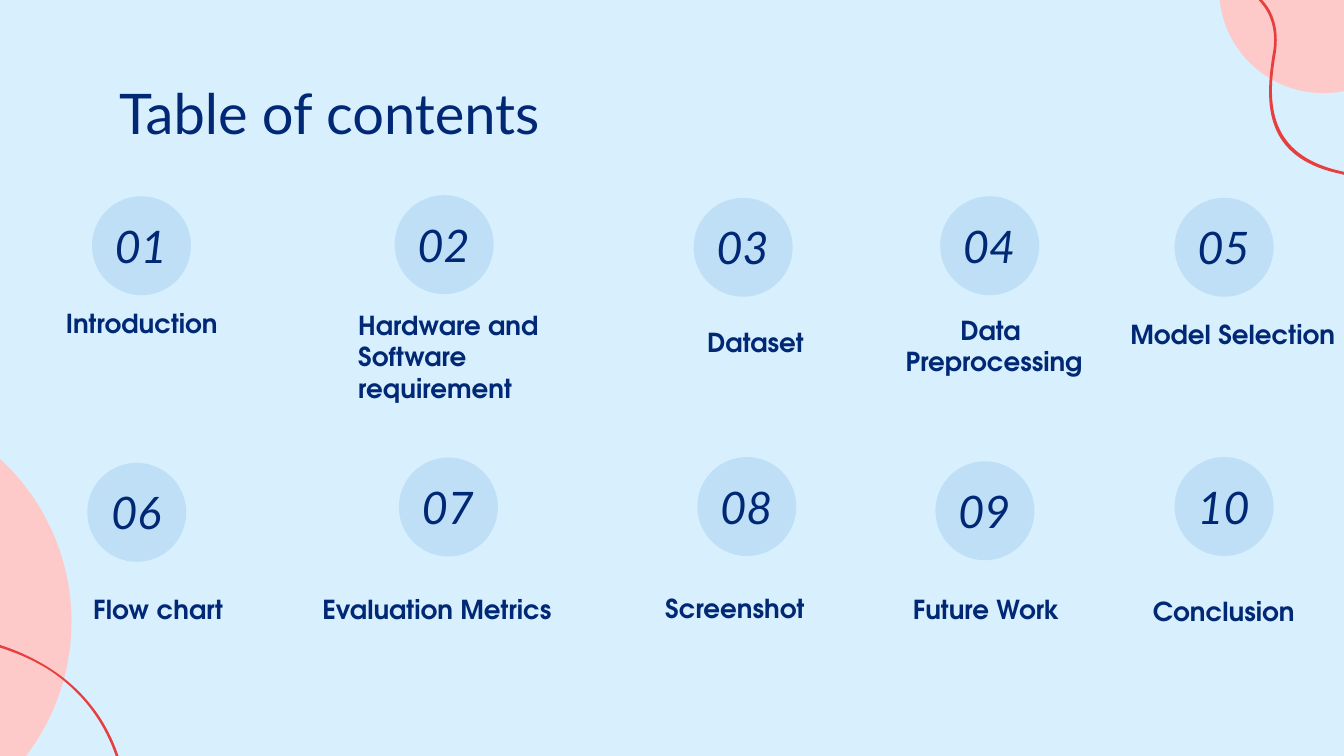
from pptx import Presentation
from pptx.enum.shapes import MSO_SHAPE as Geo
from pptx.enum.text import MSO_ANCHOR as Anchor, MSO_AUTO_SIZE as Auto, PP_ALIGN as Align
from pptx.dml.color import RGBColor as Rgb
from pptx.oxml.ns import qn
from pptx.oxml.xmlchemy import OxmlElement as Node
from pptx.util import Cm, Pt

hues = {"sky": "D8EFFE", "pink": "FDC9C9", "red": "E73E3E", "disc": "BEDFF5", "navy": "002875"}
color = {name: Rgb.from_string(code) for name, code in hues.items()}
fonts = {
    "title": {"name": "Lato", "size": Pt(30), "bold": False},
    "number": {"name": "Lato", "size": Pt(24), "italic": True},
    "label": {"name": "TeX Gyre Adventor", "size": Pt(14), "bold": True},
}
left, mid = Align.LEFT, Align.CENTER

deck = Presentation()
deck.slide_width, deck.slide_height = Cm(25.4), Cm(14.29)
slide = deck.slides.add_slide(deck.slide_layouts[5])
slide.background.fill.solid()
slide.background.fill.fore_color.rgb = color["sky"]
shapes = slide.shapes


def paint(shape, hue):
    shape.shadow.inherit = False
    shape.fill.solid()
    shape.fill.fore_color.rgb = color[hue]
    shape.line.fill.background()


def write(box, text, kind, align, anchor=Anchor.TOP):
    frame = box.text_frame
    frame.text = text
    form = {"word_wrap": True, "auto_size": Auto.NONE, "vertical_anchor": anchor}
    form.update({f"margin_{side}": Cm(0.25) for side in ("left", "top", "right", "bottom")})
    for key, value in form.items():
        setattr(frame, key, value)
    for para in frame.paragraphs:
        para.alignment = align
        for run in para.runs:
            run.font.color.rgb = color["navy"]
            for key, value in fonts[kind].items():
                setattr(run.font, key, value)


# Pink corner discs
for x, y, size in [(23.04, -2.18, 3.94), (-7.01, 7.57, 8.36)]:
    paint(shapes.add_shape(Geo.OVAL, Cm(x), Cm(y), Cm(size), Cm(size)), "pink")

# Red ribbons: L takes one point, C takes two handles and an end
ribbons = [
    ("LCCLCC", [
        (2.44, 15.6), (2.39, 15.6),
        (2.39, 13.97), (1.6, 13.11), (0.94, 12.67),
        (0.23, 12.22), (-0.51, 12.12), (-0.51, 12.12),
        (-0.51, 12.07),
        (-0.48, 12.07), (0.23, 12.17), (0.97, 12.65),
        (1.63, 13.08), (2.44, 13.94), (2.44, 15.6)]),
    ("LCCCCLCCCC", [
        (26.67, 4.85), (26.7, 4.85),
        (26.7, 4.83), (26.67, 3.53), (25.32, 3.23),
        (23.98, 2.92), (23.95, 1.96), (24.1, 1.07),
        (24.18, 0.64), (24.1, 0.28), (23.88, 0.03),
        (23.65, -0.28), (23.24, -0.43), (22.76, -0.43),
        (22.76, -0.38),
        (23.22, -0.38), (23.6, -0.23), (23.83, 0.05),
        (24.05, 0.3), (24.13, 0.66), (24.05, 1.04),
        (23.9, 1.98), (23.9, 2.97), (25.3, 3.28),
        (26.62, 3.58), (26.67, 4.83), (26.67, 4.85)]),
]
for kinds, dots in ribbons:
    start, *rest = [(Cm(x), Cm(y)) for x, y in dots]
    pen = shapes.build_freeform(*start)
    pen.add_line_segments(rest, close=True)
    ribbon = pen.convert_to_shape()
    paint(ribbon, "red")
    # Join each three straight steps of a C into one Bezier piece
    legs = iter(list(ribbon._element.iter(qn("a:lnTo"))))
    for kind in kinds:
        leg = next(legs)
        if kind == "C":
            bend = Node("a:cubicBezTo")
            leg.addprevious(bend)
            for step in (leg, next(legs), next(legs)):
                bend.append(step[0])
                step.getparent().remove(step)

# Title
title = shapes.title
place = {"left": 2, "top": 1.24, "width": 10.69, "height": 1.8}
for key, value in place.items():
    setattr(title, key, Cm(value))
write(title, "Table of contents", "title", left)

# Topics: disc corner, label box, label text, alignment
topics = [
    (1.74, 3.71, 0.71, 5.57, 3.94, 1.52, "Introduction", mid),
    (7.46, 3.69, 6.52, 5.6, 3.94, 2.13, "Hardware and\nSoftware\nrequirement", left),
    (13.11, 3.74, 11.08, 5.92, 6.4, 2.06, "Dataset", mid),
    (17.77, 3.71, 15.59, 5.69, 6.4, 2.06, "Data \nPreprocessing", mid),
    (22.2, 3.74, 20.1, 5.77, 6.4, 2.06, "Model Selection", mid),
    (1.65, 8.75, -0.21, 10.97, 6.4, 2.06, "Flow chart", mid),
    (7.54, 8.65, 5.13, 10.97, 6.4, 2.06, "Evaluation Metrics ", mid),
    (13.18, 8.64, 10.69, 10.95, 6.4, 2.06, "Screenshot", mid),
    (17.68, 8.72, 15.44, 10.97, 6.4, 2.06, "Future Work", mid),
    (22.2, 8.64, 19.93, 11, 6.4, 2.06, "Conclusion", mid),
]
for n, (x, y, lx, ly, wide, high, text, align) in enumerate(topics, 1):
    paint(shapes.add_shape(Geo.OVAL, Cm(x), Cm(y), Cm(1.87), Cm(1.87)), "disc")
    box = shapes.add_textbox(Cm(x - 0.09), Cm(y + 0.36), Cm(2.03), Cm(1.14))
    write(box, f"{n:02}", "number", mid, Anchor.MIDDLE)
    box = shapes.add_textbox(Cm(lx), Cm(ly), Cm(wide), Cm(high))
    write(box, text, "label", align)

deck.save("out.pptx")
